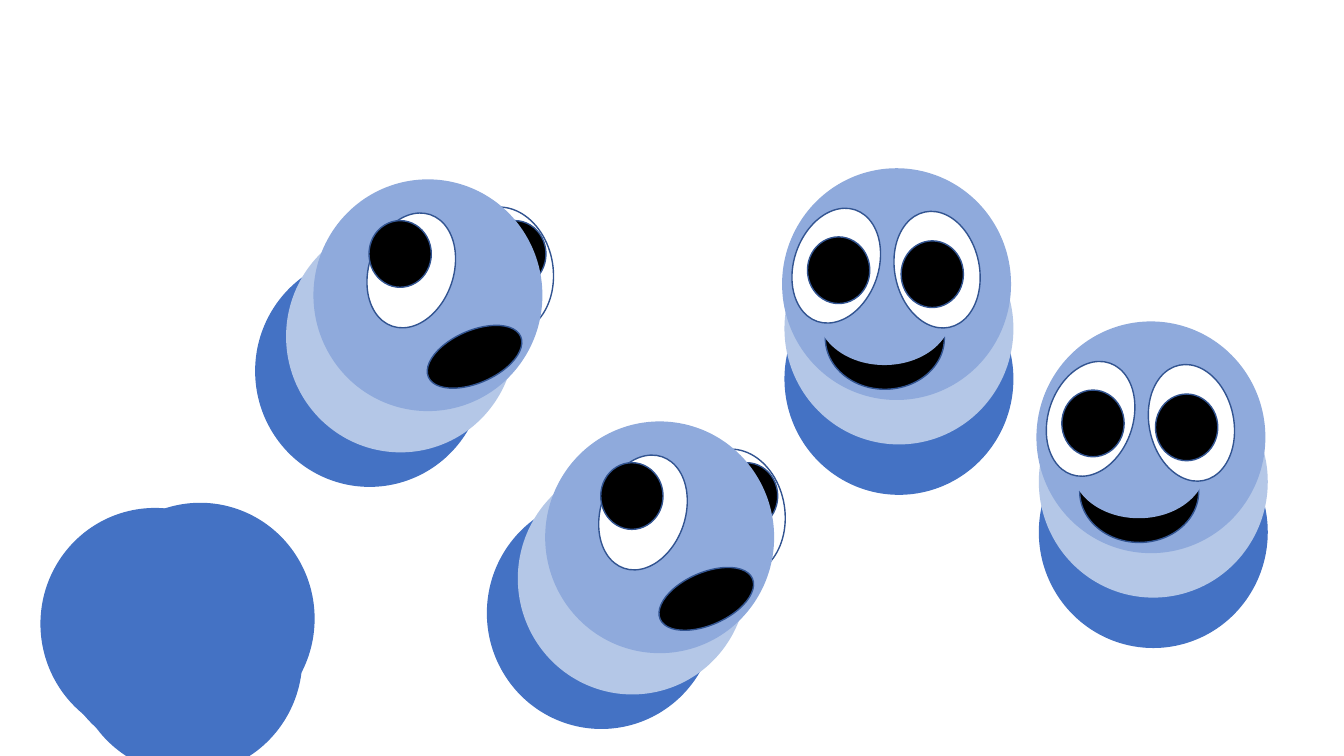
from dataclasses import dataclass

from pptx import Presentation
from pptx.dml.color import RGBColor
from pptx.enum.shapes import MSO_SHAPE
from pptx.shapes.shapetree import GroupShapes, SlideShapes
from pptx.util import Cm, Pt

ELLIPSE = MSO_SHAPE.OVAL
BLANK_LAYOUT = 6

DARK_BLUE = "4472C4"
PALE_BLUE = "B4C7E7"
FACE_BLUE = "8FAADC"
OUTLINE = "325491"
WHITE = "FFFFFF"
BLACK = "000000"

# Widths and heights in centimetres
BALL = (5.77, 5.84)
EYE = (2.13, 2.97)
FAR_EYE = (2.51, 3.23)
PUPIL = (1.57, 1.68)
OPEN_MOUTH = (2.54, 1.32)
SMILE = (3.0, 2.57)
SMILE_COVER = (3.38, 2.57)


@dataclass(frozen=True)
class Oval:
    """An ellipse placed relative to the corner of its figure's face."""
    left: float
    top: float
    size: tuple[float, float]
    fill: str
    rotation: float = 0
    outlined: bool = False


# Figure looking up to the right, from back to front
LOOKING = [
    Oval(-1.47, 1.91, BALL, DARK_BLUE),
    Oval(-0.69, 1.04, BALL, PALE_BLUE),
    Oval(3.53, 0.69, FAR_EYE, WHITE, -9.2, True),
    Oval(4.29, 1.04, PUPIL, BLACK, outlined=True),
    Oval(0, 0, BALL, FACE_BLUE),
    Oval(1.4, 0.81, EYE, WHITE, 18.9, True),
    Oval(1.4, 1.04, PUPIL, BLACK, outlined=True),
    Oval(2.79, 3.81, OPEN_MOUTH, BLACK, -23.8, True),
]

# Smiling figure: a face-coloured oval cuts the mouth to a crescent
SMILING = [
    Oval(0.06, 2.39, BALL, DARK_BLUE),
    Oval(0.06, 1.12, BALL, PALE_BLUE),
    Oval(0, 0, BALL, FACE_BLUE),
    Oval(1.09, 3.0, SMILE, BLACK, outlined=True),
    Oval(0.89, 2.39, SMILE_COVER, FACE_BLUE),
    Oval(0.3, 0.97, EYE, WHITE, 18.9, True),
    Oval(0.64, 1.73, PUPIL, BLACK, outlined=True),
    Oval(2.84, 1.07, EYE, WHITE, 168.1, True),
    Oval(3.0, 1.83, PUPIL, BLACK, outlined=True),
]

# Loose balls, placed on the page itself
PILE = [
    Oval(left, top, BALL, DARK_BLUE)
    for left, top in [(1.02, 12.8), (1.45, 13.23), (1.85, 13.67), (2.16, 12.67)]
]


def colour(value: str) -> RGBColor:
    return RGBColor.from_string(value)


def draw_oval(shapes: SlideShapes | GroupShapes, oval: Oval,
              left: float = 0, top: float = 0) -> None:
    width, height = oval.size
    shape = shapes.add_shape(ELLIPSE, Cm(left + oval.left), Cm(top + oval.top),
                             Cm(width), Cm(height))
    shape.shadow.inherit = False
    shape.rotation = oval.rotation
    shape.fill.solid()
    shape.fill.fore_color.rgb = colour(oval.fill)
    if oval.outlined:
        shape.line.color.rgb = colour(OUTLINE)
        shape.line.width = Pt(1)
    else:
        shape.line.fill.background()


def draw_figure(shapes: SlideShapes, name: str, ovals: list[Oval],
                left: float, top: float) -> None:
    group = shapes.add_group_shape()
    group.name = name
    for oval in ovals:
        draw_oval(group.shapes, oval, left, top)


def main() -> None:
    deck = Presentation()
    deck.slide_width, deck.slide_height = Cm(33.87), Cm(19.05)
    page = deck.slides.add_slide(deck.slide_layouts[BLANK_LAYOUT])

    # Upper figures
    draw_figure(page.shapes, "Looking figure 1", LOOKING, 7.9, 4.52)
    draw_figure(page.shapes, "Smiling figure 1", SMILING, 19.71, 4.24)

    # Pile of balls
    for ball in PILE:
        draw_oval(page.shapes, ball)

    # Lower figures
    draw_figure(page.shapes, "Looking figure 2", LOOKING, 13.74, 10.62)
    draw_figure(page.shapes, "Smiling figure 2", SMILING, 26.12, 8.1)

    deck.save("out.pptx")


if __name__ == "__main__":
    main()
